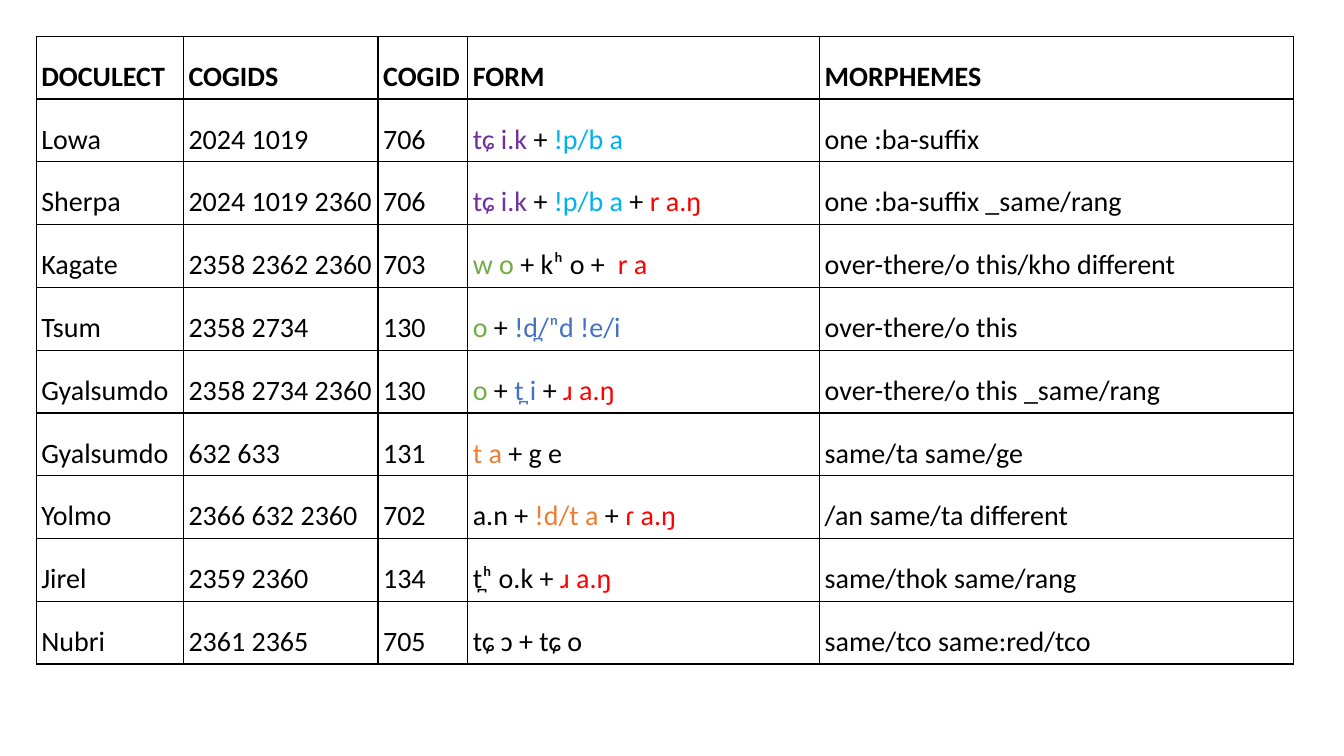
from lxml import etree
from pptx import Presentation
from pptx.dml.color import RGBColor
from pptx.enum.text import MSO_ANCHOR
from pptx.oxml.ns import qn
from pptx.util import Inches, Pt

BLACK = RGBColor(0x00, 0x00, 0x00)
WHITE = RGBColor(0xFF, 0xFF, 0xFF)
PURPLE = RGBColor(0x70, 0x30, 0xA0)
CYAN = RGBColor(0x00, 0xB0, 0xF0)
RED = RGBColor(0xFF, 0x00, 0x00)
GREEN = RGBColor(0x70, 0xAD, 0x47)
BLUE = RGBColor(0x44, 0x72, 0xC4)
ORANGE = RGBColor(0xED, 0x7D, 0x31)

HEADERS = ["DOCULECT", "COGIDS", "COGID", "FORM", "MORPHEMES"]
COLUMN_WIDTHS = [1.46, 1.93, 0.89, 3.49, 4.7]
ROWS = [
    ("Lowa", "2024 1019", "706",
     [("tɕ i.k ", PURPLE), ("+ ", BLACK), ("!p/b a", CYAN)],
     "one :ba-suffix"),
    ("Sherpa", "2024 1019 2360", "706",
     [("tɕ i.k ", PURPLE), ("+ ", BLACK), ("!p/b a ", CYAN), ("+ ", BLACK), ("r a.ŋ", RED)],
     "one :ba-suffix _same/rang"),
    ("Kagate", "2358 2362 2360", "703",
     [("w o ", GREEN), ("+ kʰ o +  ", BLACK), ("r a", RED)],
     "over-there/o this/kho different"),
    ("Tsum", "2358 2734", "130",
     [("o", GREEN), (" + ", BLACK), ("!d̪/ⁿd !e/i", BLUE)],
     "over-there/o this"),
    ("Gyalsumdo", "2358 2734 2360", "130",
     [("o", GREEN), (" + ", BLACK), ("t̪ i ", BLUE), ("+ ", BLACK), ("ɹ a.ŋ", RED)],
     "over-there/o this _same/rang"),
    ("Gyalsumdo", "632 633", "131",
     [("t a ", ORANGE), ("+ g e", BLACK)],
     "same/ta same/ge"),
    ("Yolmo", "2366 632 2360", "702",
     [("a.n + ", BLACK), ("!d/t a ", ORANGE), ("+ ", BLACK), ("ɾ a.ŋ", RED)],
     "/an same/ta different"),
    ("Jirel", "2359 2360", "134",
     [("t̪ʰ o.k + ", BLACK), ("ɹ a.ŋ", RED)],
     "same/thok same/rang"),
    ("Nubri", "2361 2365", "705", "tɕ ɔ + tɕ o", "same/tco same:red/tco"),
]


def add_borders(cell):
    properties = cell._tc.get_or_add_tcPr()
    for side in ("a:lnL", "a:lnR", "a:lnT", "a:lnB"):
        line = etree.SubElement(properties, qn(side), w=str(Pt(1)))
        fill = etree.SubElement(line, qn("a:solidFill"))
        etree.SubElement(fill, qn("a:srgbClr"), val=str(BLACK))


def fill_cell(cell, content, bold):
    add_borders(cell)
    cell.fill.solid()
    cell.fill.fore_color.rgb = WHITE
    cell.vertical_anchor = MSO_ANCHOR.BOTTOM
    cell.margin_left = cell.margin_right = Inches(0.05)
    cell.margin_top = cell.margin_bottom = Inches(0.05)
    pieces = [(content, BLACK)] if isinstance(content, str) else content
    paragraph = cell.text_frame.paragraphs[0]
    for wording, color in pieces:
        run = paragraph.add_run()
        run.text = wording
        run.font.name = "Calibri"
        run.font.size = Pt(20)
        run.font.bold = bold
        run.font.color.rgb = color


def main():
    presentation = Presentation()
    presentation.slide_width = Inches(13.33)
    presentation.slide_height = Inches(7.5)
    slide = presentation.slides.add_slide(presentation.slide_layouts[6])

    contents = [HEADERS] + ROWS
    table = slide.shapes.add_table(
        len(contents), len(HEADERS), Inches(0.36), Inches(0.36),
        Inches(sum(COLUMN_WIDTHS)), Inches(6.23)).table
    for column, width in zip(table.columns, COLUMN_WIDTHS):
        column.width = Inches(width)
    for row_index, row in enumerate(contents):
        for column_index, content in enumerate(row):
            fill_cell(table.cell(row_index, column_index), content, row_index == 0)

    presentation.save("out.pptx")


if __name__ == "__main__":
    main()
